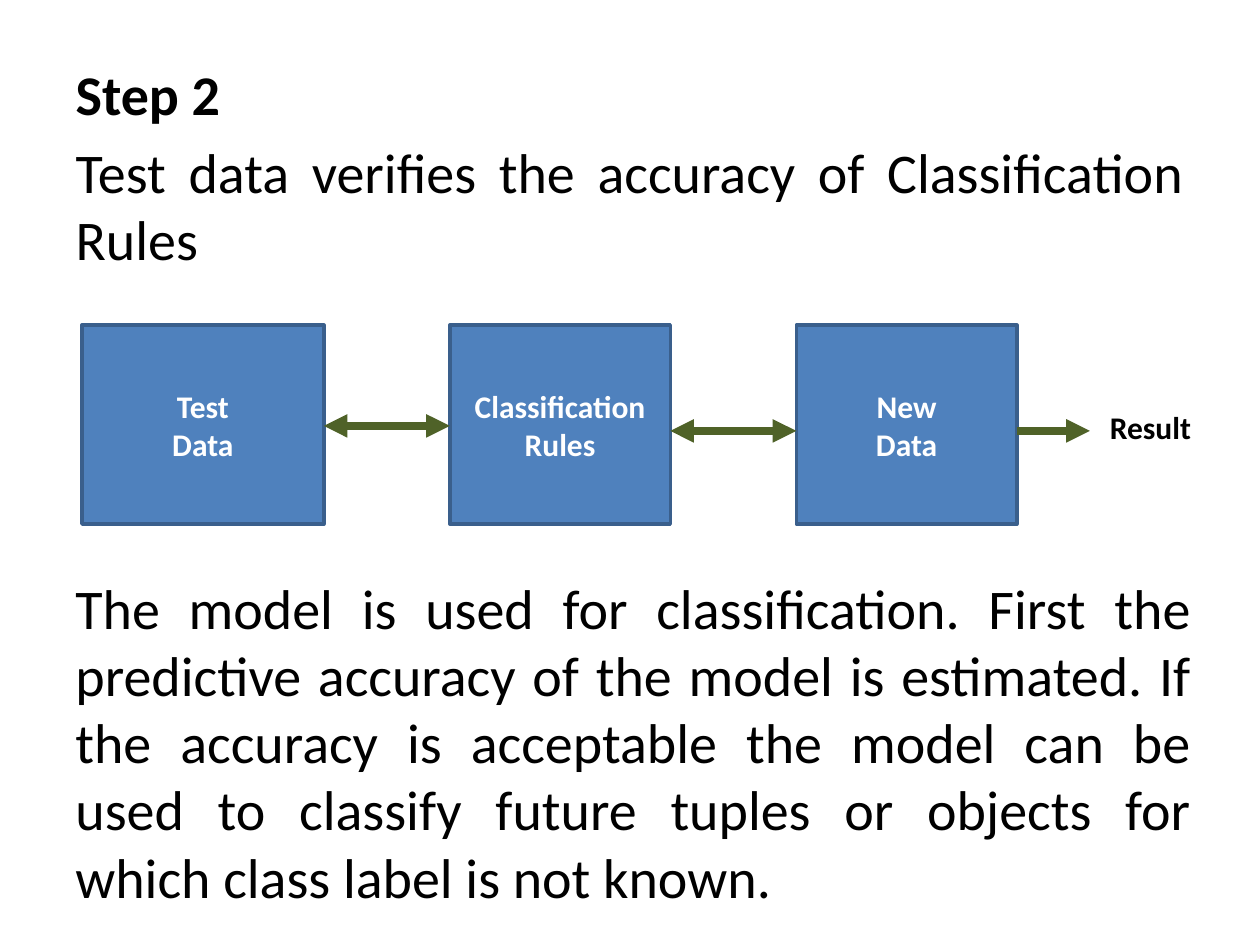
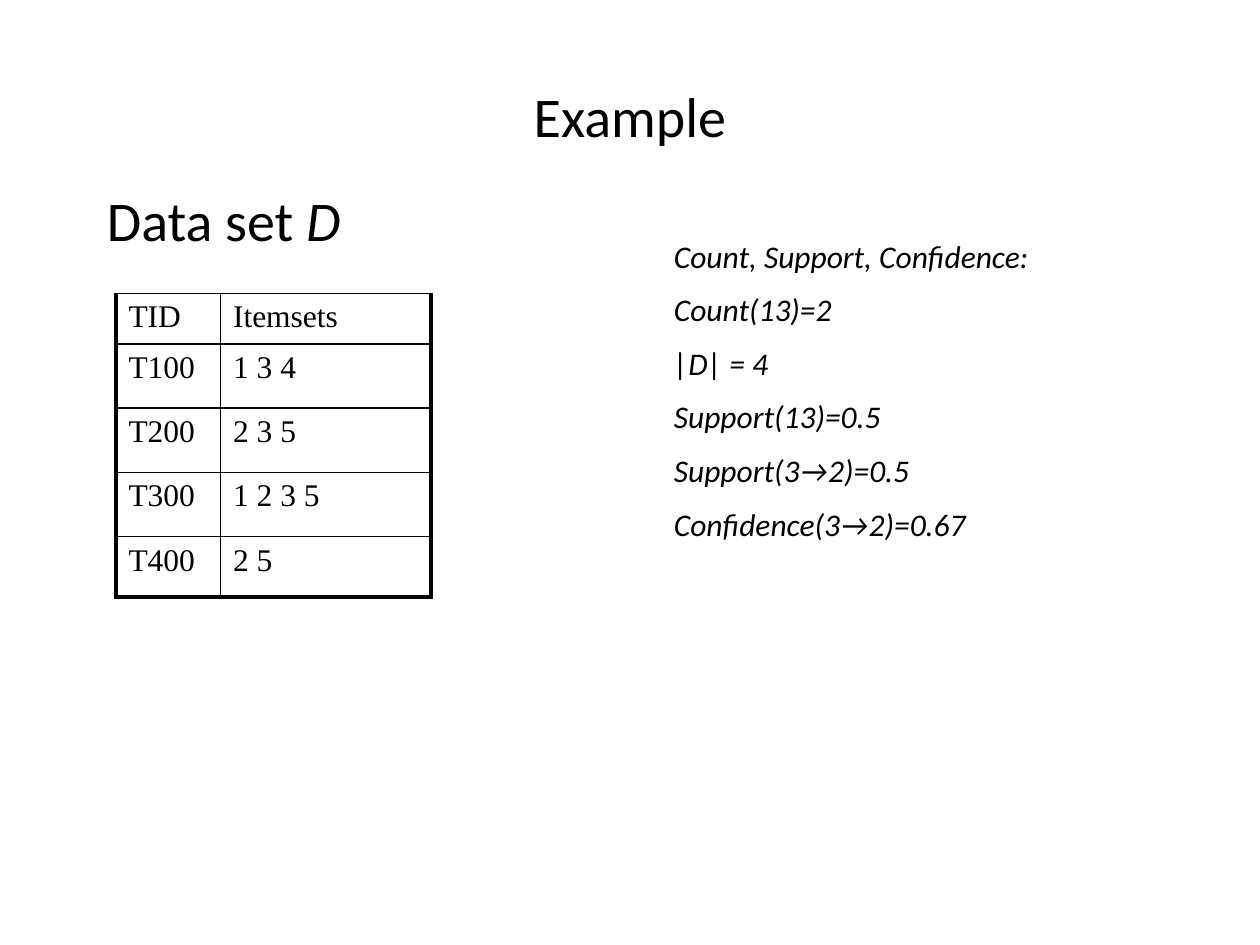
from lxml import etree
from pptx import Presentation
from pptx import util as u
from pptx.dml.color import RGBColor
from pptx.enum import shapes, text
from pptx.oxml import ns

PX = 9144
COLORS = {"ink": "000000", "paper": "FFFFFF", "box": "4F81BD", "edge": "3A5F8C", "arrow": "4F6228"}
FONT, TABLE_FONT = "Calibri", "Times New Roman"
LEFT, CENTER, JUSTIFY = text.PP_ALIGN.LEFT, text.PP_ALIGN.CENTER, text.PP_ALIGN.JUSTIFY


def px(*lengths):
    """Turn px lengths into EMU."""
    return [u.Emu(length * PX) for length in lengths]


def color(name):
    """Look up a palette colour."""
    return RGBColor.from_string(COLORS[name])


def child(parent, tag, **attributes):
    """Append a DrawingML element to its parent."""
    return etree.SubElement(parent, ns.qn(f"a:{tag}"), attributes)


def write(frame, paragraphs, size=18, font=FONT, ink="ink", bold=False, italic=False,
          align=LEFT, before=0, anchor=text.MSO_ANCHOR.TOP, wrap=True):
    """Fill a text frame; each paragraph is a list of (text, format changes) spans."""
    frame.word_wrap = wrap
    frame.auto_size = text.MSO_AUTO_SIZE.NONE
    frame.vertical_anchor = anchor
    for index, spans in enumerate(paragraphs):
        para = frame.add_paragraph() if index else frame.paragraphs[0]
        para.alignment = align
        properties = para._p.get_or_add_pPr()
        properties.set("marL", "0")
        properties.set("indent", "0")
        child(child(properties, "spcBef"), "spcPct", val=str(before * 1000))
        child(properties, "buNone")
        for words, changes in [(spans, {})] if isinstance(spans, str) else spans:
            span = para.add_run()
            span.text = words
            span.font.name, span.font.size = font, u.Pt(size)
            span.font.color.rgb = color(ink)
            span.font.bold = changes.get("bold", bold)
            span.font.italic = changes.get("italic", italic)


def add_text(page, box, paragraphs, **style):
    """Add a text box."""
    write(page.shapes.add_textbox(*px(*box)).text_frame, paragraphs, **style)


def place(holder, box):
    """Move a placeholder to a box."""
    holder.left, holder.top, holder.width, holder.height = px(*box)


def add_stage(page, box, lines):
    """Add one labelled box of the process."""
    stage = page.shapes.add_shape(shapes.MSO_SHAPE.RECTANGLE, *px(*box))
    stage.shadow.inherit = False
    stage.fill.solid()
    stage.fill.fore_color.rgb = color("box")
    stage.line.color.rgb = color("edge")
    stage.line.width = u.Pt(2)
    write(stage.text_frame, lines, ink="paper", bold=True, align=CENTER,
          anchor=text.MSO_ANCHOR.MIDDLE)


def add_arrow(page, start, end, y, ends):
    """Add a level arrow with the named line ends."""
    arrow = page.shapes.add_connector(shapes.MSO_CONNECTOR.STRAIGHT, *px(start, y, end, y))
    arrow.line.color.rgb = color("arrow")
    arrow.line.width = u.Pt(4.5)
    for end_tag in ends:
        child(arrow.line._get_or_add_ln(), end_tag, type="triangle")
    child(arrow._element.spPr, "effectLst")


def add_process(page, box):
    """Draw the stages, the arrows between them and the result."""
    left, top, width, height = box
    stages = [(0, 192, ["Test", "Data"]), (292, 175, ["Classification", "Rules"]),
              (567, 175, ["New", "Data"])]
    for offset, stage_width, lines in stages:
        add_stage(page, (left + offset, top, stage_width, height), lines)
    both = ("headEnd", "tailEnd")
    add_arrow(page, left + 192, left + 292, top + 80, both)
    add_arrow(page, left + 467, left + 567, top + 84, both)
    add_arrow(page, left + 742, left + 800, top + 84, both[1:])
    add_text(page, (left + 806, top + 61, width - 806, 40), ["Result"], bold=True, wrap=False)


def set_borders(cell, widths):
    """Draw the left, right, top and bottom borders of a cell."""
    properties = cell._tc.get_or_add_tcPr()
    for index, (tag, width) in enumerate(zip(("lnL", "lnR", "lnT", "lnB"), widths)):
        line = etree.Element(ns.qn(f"a:{tag}"), w=str(u.Pt(width)))
        child(child(line, "solidFill"), "srgbClr", val=COLORS["ink"])
        properties.insert(index, line)


def add_transactions(page, box):
    """Add the table of transactions and their itemsets."""
    rows = [("TID", "Itemsets"), ("T100", "1 3 4"), ("T200", "2 3 5"),
            ("T300", "1 2 3 5"), ("T400", "2 5")]
    table = page.shapes.add_table(len(rows), 2, *px(*box)).table
    table.first_row = table.horz_banding = False
    for column, width in zip(table.columns, px(83, box[2] - 83)):
        column.width = width
    for row, height in zip(table.rows, px(40, 51, 51, 51, 48)):
        row.height = height
    for r, values in enumerate(rows):
        for c, value in enumerate(values):
            cell = table.cell(r, c)
            cell.fill.background()
            write(cell.text_frame, [value], font=TABLE_FONT, before=20)
            bottom = 2.25 if r == len(rows) - 1 else 1
            set_borders(cell, (1 if c else 2.25, 2.25 if c else 1, 1, bottom))


def build_step(deck):
    """Build the slide on testing the rules."""
    page = deck.slides.add_slide(deck.slide_layouts[1])
    title, body = page.placeholders
    title._element.getparent().remove(title._element)
    place(body, (50, 42, 900, 192))
    write(body.text_frame,
          [[("Step 2", {"bold": True})], "Test data verifies the accuracy of Classification Rules"],
          size=32, align=JUSTIFY, before=20)
    add_process(page, (65, 258, 891, 158))
    add_text(page, (50, 450, 906, 279),
             ["The model is used for classification. First the predictive accuracy of the model "
              "is estimated. If the accuracy is acceptable the model can be used to classify "
              "future tuples or objects for which class label is not known."],
             size=32, align=JUSTIFY)


def build_example(deck):
    """Build the slide with the worked example."""
    page = deck.slides.add_slide(deck.slide_layouts[5])
    place(page.shapes.title, (75, 58, 850, 67))
    write(page.shapes.title.text_frame, ["Example"], size=32, align=CENTER,
          anchor=text.MSO_ANCHOR.MIDDLE)
    add_text(page, (75, 142, 850, 517), [[("Data set ", {}), ("D", {"italic": True})]],
             size=32, before=20)
    add_text(page, (525, 183, 358, 389),
             ["Count, Support, Confidence:", "Count(13)=2", "|D| = 4", "Support(13)=0.5",
              "Support(3→2)=0.5", "Confidence(3→2)=0.67"], italic=True, before=50)
    add_transactions(page, (92, 233, 250, 241))


def main():
    """Build and save the deck."""
    deck = Presentation()
    deck.slide_width, deck.slide_height = px(1000, 750)
    build_step(deck)
    build_example(deck)
    deck.save("out.pptx")


if __name__ == "__main__":
    main()
